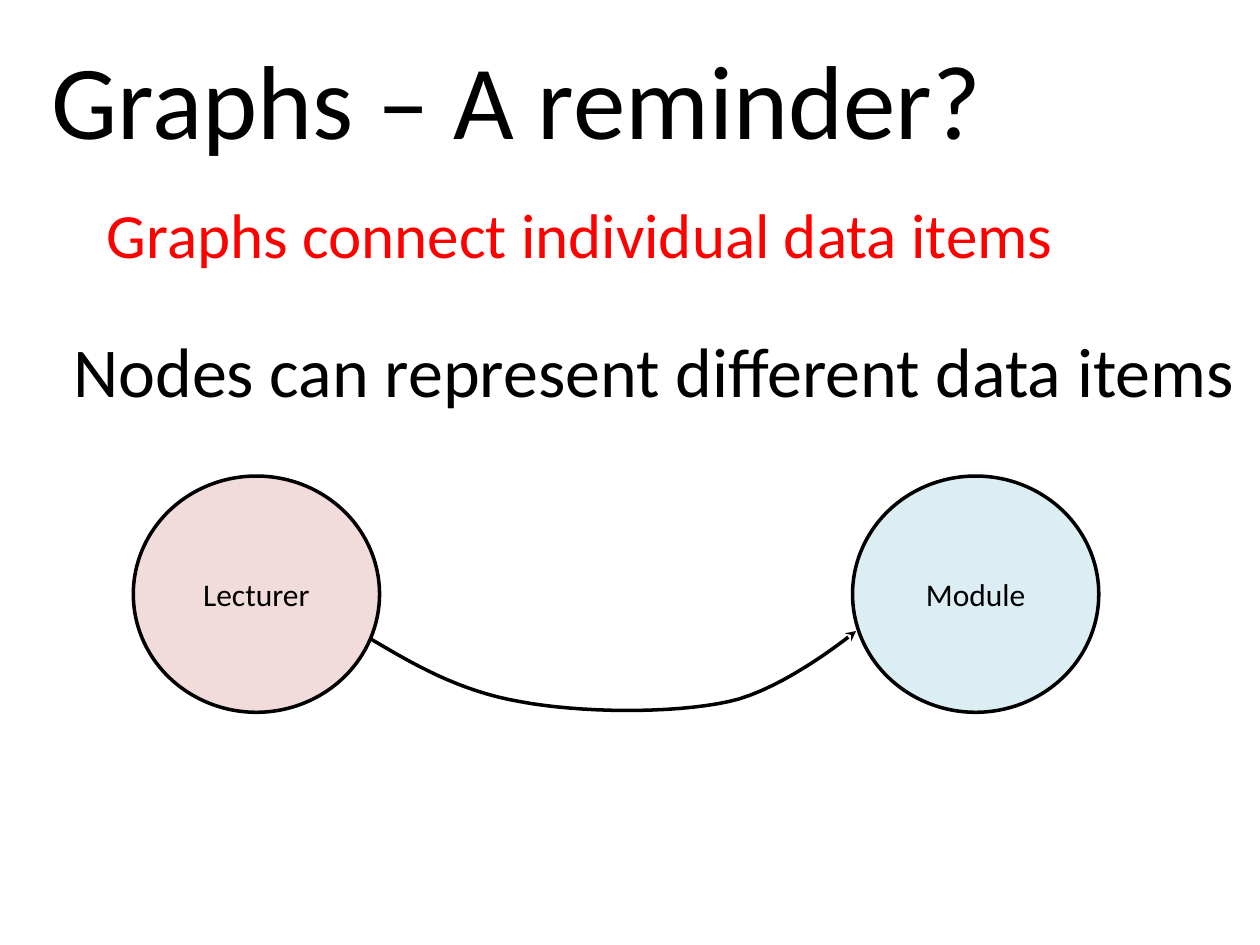
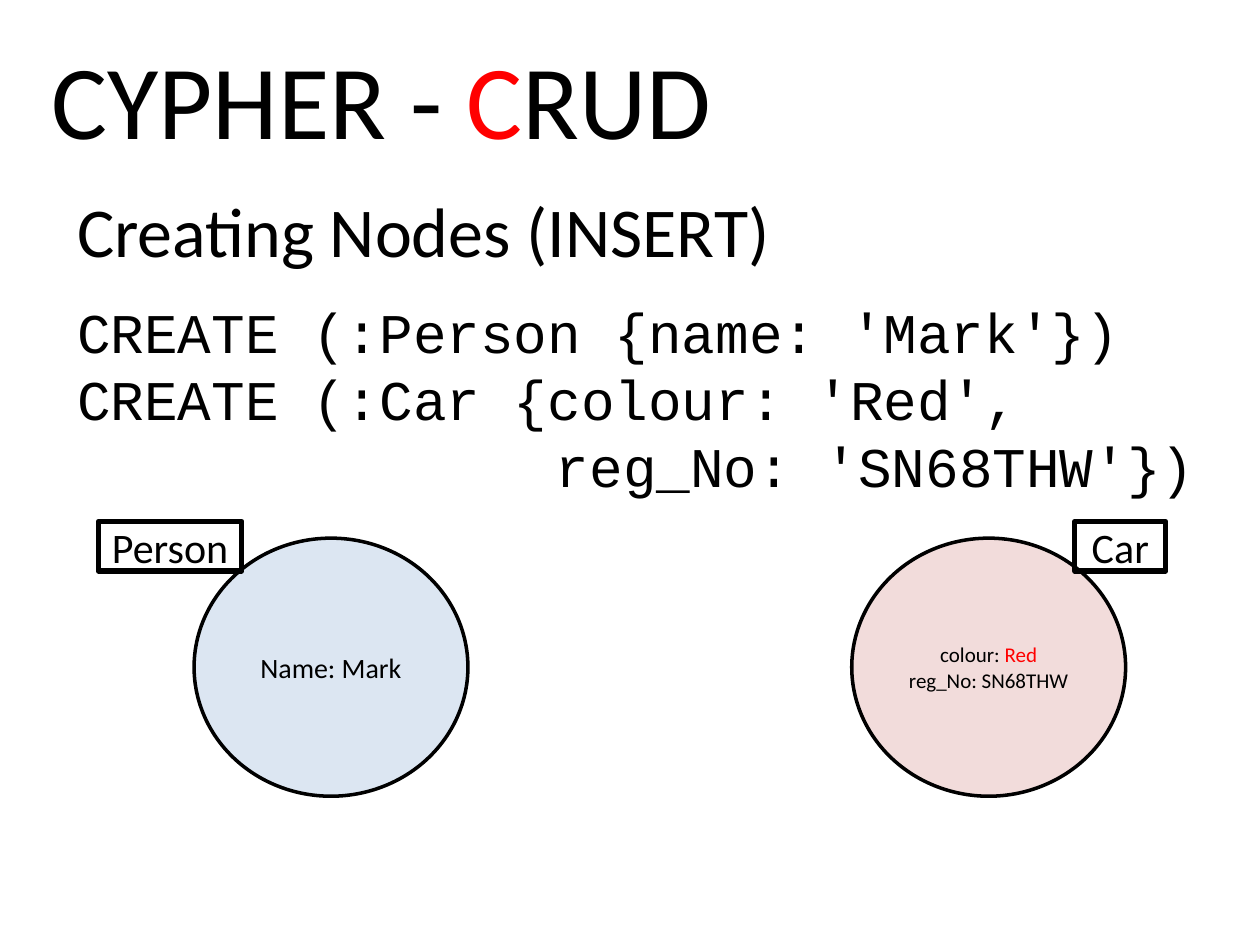
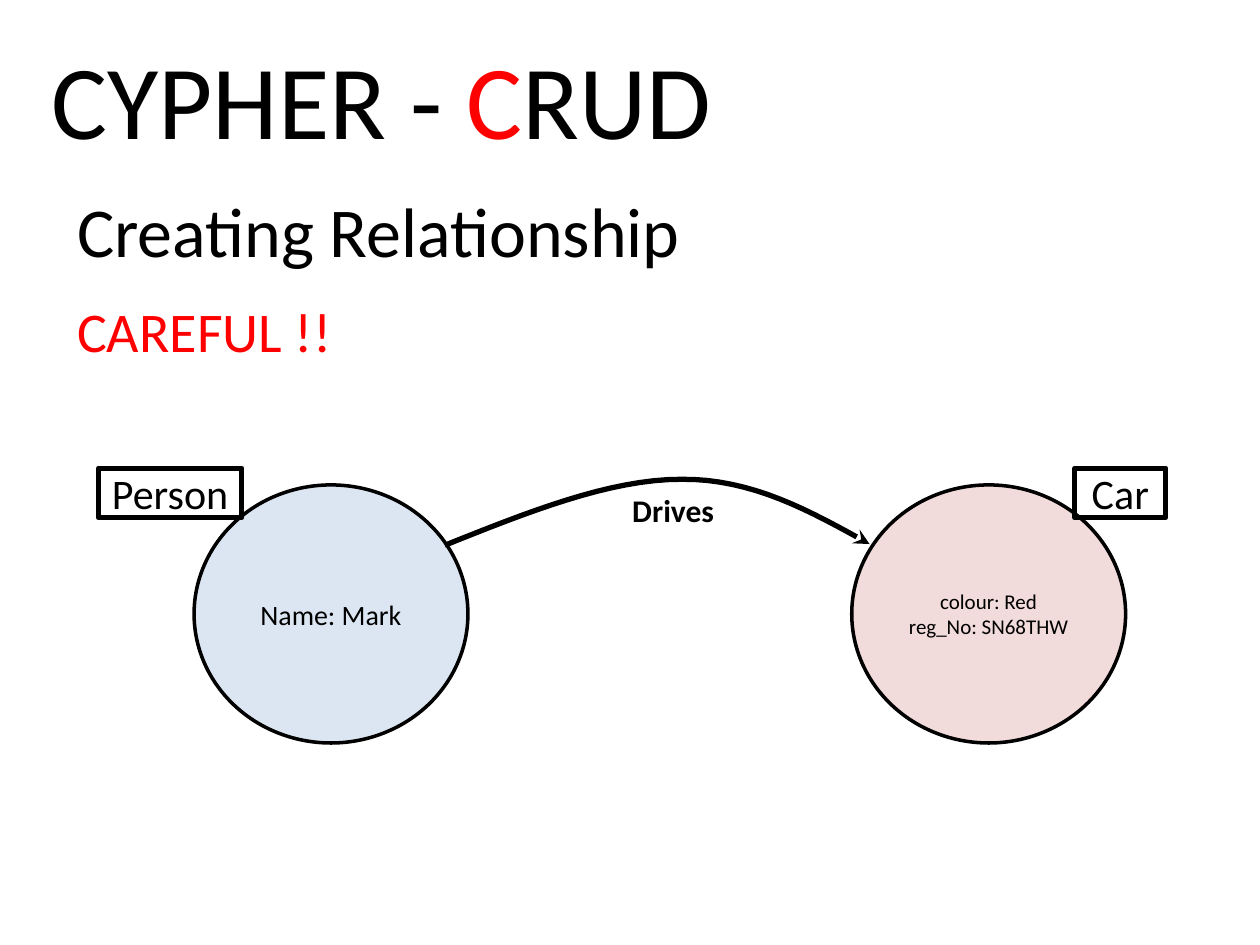
"""Build three slides on graph nodes and relationships in Cypher."""
import pptx
import pptx.util
import pptx.dml.color
import pptx.enum.shapes
import pptx.enum.text
import pptx.oxml

Pt = pptx.util.Pt
ALIGN = pptx.enum.text.PP_ALIGN
ANCHOR = pptx.enum.text.MSO_ANCHOR
SHAPE = pptx.enum.shapes.MSO_SHAPE

COLORS = {"ink": "000000", "red": "FF0000", "pink": "F2DCDB",
          "aqua": "DBEEF4", "blue": "DCE6F2"}
BODY, CODE = "Calibri", "Courier New"
CRUD_TITLE = ["CYPHER - ", ("C", "red"), "RUD"]
CURVE_STEPS = 16


def color(name):
    return pptx.dml.color.RGBColor.from_string(COLORS[name])


def write(tf, runs, size, fill="ink", font=BODY, bold=False, align=ALIGN.LEFT,
          before=0, indent=0, spacing=None, new=False):
    p = tf.add_paragraph() if new else tf.paragraphs[0]
    p.alignment = align
    if before:
        p.space_before = Pt(before)
    if spacing:
        p.line_spacing = Pt(spacing)
    if indent:
        p._p.get_or_add_pPr().set("marL", str(Pt(indent)))
    for run in [runs] if isinstance(runs, str) else runs:
        text, tint = (run, fill) if isinstance(run, str) else run
        r = p.add_run()
        r.text = text
        r.font.name, r.font.size, r.font.bold = font, Pt(size), bold
        r.font.color.rgb = color(tint)


def text_box(s, box, anchor=ANCHOR.TOP, wrap=True):
    tf = s.shapes.add_textbox(*map(Pt, box)).text_frame
    tf.word_wrap, tf.vertical_anchor = wrap, anchor
    return tf


def outline(sp, width, fill=None):
    sp.shadow.inherit = False
    sp.line.color.rgb, sp.line.width = color("ink"), Pt(width)
    if fill:
        sp.fill.solid()
        sp.fill.fore_color.rgb = color(fill)
    else:
        sp.fill.background()


def shape(s, kind, box, lines, size, width, fill=None):
    sp = s.shapes.add_shape(kind, *map(Pt, box))
    outline(sp, width, fill)
    tf = sp.text_frame
    tf.word_wrap, tf.vertical_anchor = True, ANCHOR.MIDDLE
    for i, runs in enumerate(lines):
        write(tf, runs, size, align=ALIGN.CENTER, new=i > 0)


def curved_arrow(s, x, y, points, width):
    """Draw joined cubic curves; points are relative to (x, y)."""
    track = []
    for i in range(0, len(points) - 1, 3):
        a, b, c, d = points[i:i + 4]
        for step in range(1, CURVE_STEPS + 1):
            t = step / CURVE_STEPS
            u = 1 - t
            track.append([u**3 * m + 3 * u * u * t * n + 3 * u * t * t * o + t**3 * q
                          for m, n, o, q in zip(a, b, c, d)])
    start, *rest = [(Pt(x + px), Pt(y + py)) for px, py in [points[0]] + track]
    fb = s.shapes.build_freeform(*start)
    fb.add_line_segments(rest, close=False)
    sp = fb.convert_to_shape()
    outline(sp, width)
    ln = sp.line._get_or_add_ln()
    ln.append(pptx.oxml.parse_xml(
        '<a:tailEnd xmlns:a="http://schemas.openxmlformats.org/drawingml/2006/main"'
        ' type="stealth"/>'))


def new_slide(prs, title):
    s = prs.slides.add_slide(prs.slide_layouts[6])
    write(text_box(s, (22.3, 16.6, 602, 78.5), ANCHOR.MIDDLE), title, 60)
    return s


def lecturer_module(s, x, y):
    for dx, name, fill in [(0, "Lecturer", "pink"), (411, "Module", "aqua")]:
        shape(s, SHAPE.OVAL, (x + dx, y, 140.7, 135), [name], 18, 2, fill)
    curved_arrow(s, x, y, [
        (135.4, 93), (160.6, 108), (186.5, 123), (221, 129),
        (255, 135.4), (308, 136), (340, 129),
        (372, 122.4), (413, 88.6), (413, 88.6)], 2)


def person_car(s, x, y, car_color):
    nodes = [(54.7, "blue", ["Name: Mark"], 16, 0, 82, "Person"),
             (430.5, "pink", [["colour: ", ("Red", car_color)], "reg_No: SN68THW"],
              12, 558, 52, "Car")]
    for dx, fill, lines, size, label_dx, label_w, label in nodes:
        shape(s, SHAPE.OVAL, (x + dx, y + 9.5, 156.5, 147.5), lines, size, 2, fill)
        shape(s, SHAPE.RECTANGLE, (x + label_dx, y, label_w, 28.3), [label], 24, 3)


def drives(s, x, y):
    curved_arrow(s, x, y, [
        (198, 44), (245, 25.2), (292, 6.3), (333, 6.3),
        (373.5, 5.8), (407, 24.5), (440.7, 43.3)], 3)
    write(text_box(s, (x + 298, y + 9.5, 62, 29), wrap=False), "Drives", 18, bold=True)


def reminder_slide(prs):
    s = new_slide(prs, "Graphs – A reminder?")
    write(text_box(s, (54, 108, 613.5, 59)),
          "Graphs connect individual data items", 36, fill="red")
    write(text_box(s, (34.8, 183.7, 685, 55.7), wrap=False),
          "Nodes can represent different data items", 40)
    lecturer_module(s, 76.2, 272)


def crud_slide(prs, heading, height):
    s = new_slide(prs, CRUD_TITLE)
    tf = text_box(s, (37, 103.7, 669, height))
    write(tf, heading, 40)
    return s, tf


def nodes_slide(prs):
    s, tf = crud_slide(prs, "Creating Nodes (INSERT)", 194)
    code = [("CREATE (:Person {name: 'Mark'})", 15, 0),
            ("CREATE (:Car {colour: 'Red',", 0, 0),
            ("reg_No: 'SN68THW'})", 0, 273.6)]
    for line, before, indent in code:
        write(tf, line, 32, font=CODE, before=before, indent=indent,
              spacing=38.3, new=True)
    person_car(s, 56.2, 298, "red")


def relationship_slide(prs):
    s, tf = crud_slide(prs, "Creating Relationship", 320)
    write(tf, "CAREFUL !!", 32, fill="red", before=14, new=True)
    person_car(s, 56.2, 267.6, "ink")
    drives(s, 56.2, 267.6)


def main():
    prs = pptx.Presentation()
    prs.slide_width, prs.slide_height = Pt(720), Pt(540)
    reminder_slide(prs)
    nodes_slide(prs)
    relationship_slide(prs)
    prs.save("out.pptx")


if __name__ == "__main__":
    main()
